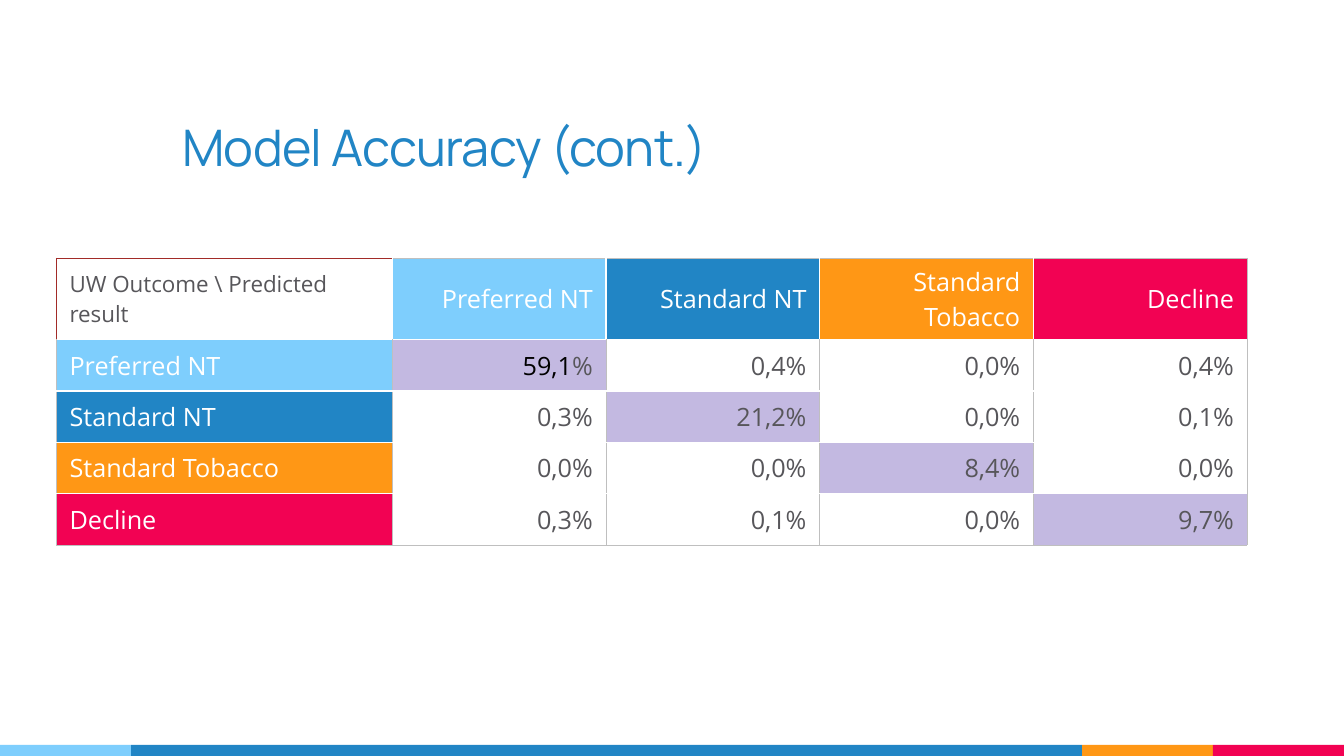
"""Build the model accuracy slide with its confusion matrix."""
from dataclasses import dataclass

from lxml.etree import SubElement
from pptx import Presentation
from pptx.dml.color import RGBColor
from pptx.enum.shapes import MSO_SHAPE
from pptx.enum.text import MSO_ANCHOR, PP_ALIGN
from pptx.oxml.ns import qn
from pptx.util import Inches, Pt

SKY = RGBColor(0x7E, 0xCE, 0xFD)
BLUE = RGBColor(0x21, 0x85, 0xC5)
ORANGE = RGBColor(0xFF, 0x97, 0x15)
CRIMSON = RGBColor(0xF2, 0x02, 0x53)
LILAC = RGBColor(0xC3, 0xB9, 0xE1)
GRAY = RGBColor(0x57, 0x56, 0x5A)
RULE = RGBColor(0xBF, 0xBF, 0xBF)
BRICK = RGBColor(0xA2, 0x2B, 0x28)
WHITE = RGBColor(0xFF, 0xFF, 0xFF)
BLACK = RGBColor(0x00, 0x00, 0x00)


@dataclass(frozen=True)
class Stripe:
    left: float
    width: float
    color: RGBColor


@dataclass(frozen=True)
class RiskClass:
    name: str
    color: RGBColor
    shares: tuple[str, ...]


STRIPES = (
    Stripe(10.73, 1.3, ORANGE),
    Stripe(12.03, 1.3, CRIMSON),
    Stripe(0, 1.3, SKY),
    Stripe(1.3, 9.43, BLUE),
)
RISK_CLASSES = (
    RiskClass("Preferred NT", SKY, ("59,1", "0,4%", "0,0%", "0,4%")),
    RiskClass("Standard NT", BLUE, ("0,3%", "21,2%", "0,0%", "0,1%")),
    RiskClass("Standard Tobacco", ORANGE, ("0,0%", "0,0%", "8,4%", "0,0%")),
    RiskClass("Decline", CRIMSON, ("0,3%", "0,1%", "0,0%", "9,7%")),
)


def add_text(para, text: str, *, color: RGBColor = GRAY, size: float = 18,
             font: str = "Open Sans", align=PP_ALIGN.LEFT, spacing: int = 0) -> None:
    para.alignment = align
    span = para.add_run()
    span.text = text
    span.font.name = font
    span.font.size = Pt(size)
    span.font.color.rgb = color
    if spacing:
        span.font._element.set("spc", str(spacing))


def add_stripe(slide, stripe: Stripe) -> None:
    shape = slide.shapes.add_shape(MSO_SHAPE.RECTANGLE, Inches(stripe.left), Inches(7.39),
                                   Inches(stripe.width), Inches(0.11))
    shape.shadow.inherit = False
    shape.fill.solid()
    shape.fill.fore_color.rgb = stripe.color
    shape.line.fill.background()


def add_title(slide, text: str) -> None:
    box = slide.shapes.add_textbox(Inches(1.71), Inches(0.84), Inches(9.16), Inches(1.01))
    frame = box.text_frame
    frame.word_wrap = True
    frame.vertical_anchor = MSO_ANCHOR.BOTTOM
    frame.margin_left = frame.margin_right = Inches(0.1)
    frame.margin_top = frame.margin_bottom = Inches(0.1)
    add_text(frame.paragraphs[0], text, color=BLUE, size=36, font="Manrope", spacing=-50)


def format_cell(cell, fill: RGBColor | None, edges: str = "LRB", rule: RGBColor = RULE) -> None:
    cell.vertical_anchor = MSO_ANCHOR.MIDDLE
    cell.margin_left = cell.margin_right = Inches(0.13)
    cell.margin_top = cell.margin_bottom = Inches(0.07)
    properties = cell._tc.get_or_add_tcPr()
    for edge in edges:
        line = SubElement(properties, qn(f"a:ln{edge}"), w=str(Pt(0.25)))
        solid = SubElement(line, qn("a:solidFill"))
        SubElement(solid, qn("a:srgbClr"), val=str(rule))
    if fill is None:
        cell.fill.background()
    else:
        cell.fill.solid()
        cell.fill.fore_color.rgb = fill


def add_matrix(slide) -> None:
    count = len(RISK_CLASSES) + 1
    table = slide.shapes.add_table(count, count, Inches(0.56), Inches(2.56),
                                   Inches(11.82), Inches(2.85)).table
    table.first_row = table.horz_banding = False
    for index in range(count):
        table.columns[index].width = Inches(2.12 if index else 3.33)
        table.rows[index].height = Inches(0.51 if index else 0.81)

    corner = table.cell(0, 0)
    format_cell(corner, WHITE, "LT", BRICK)
    add_text(corner.text_frame.paragraphs[0], "UW Outcome \\ Predicted result", size=16)

    for row, risk in enumerate(RISK_CLASSES, start=1):
        header, label = table.cell(0, row), table.cell(row, 0)
        format_cell(header, risk.color, "RTB")
        add_text(header.text_frame.paragraphs[0], risk.name, color=WHITE, align=PP_ALIGN.RIGHT)
        format_cell(label, risk.color)
        add_text(label.text_frame.paragraphs[0], risk.name, color=WHITE)
        for column, share in enumerate(risk.shares, start=1):
            cell = table.cell(row, column)
            format_cell(cell, LILAC if row == column else None)
            para = cell.text_frame.paragraphs[0]
            complete = share.endswith("%")
            add_text(para, share, color=GRAY if complete else BLACK, align=PP_ALIGN.RIGHT)
            if not complete:
                add_text(para, "%", align=PP_ALIGN.RIGHT)


def main() -> None:
    deck = Presentation()
    deck.slide_width, deck.slide_height = Inches(13.33), Inches(7.5)
    page = deck.slides.add_slide(deck.slide_layouts[6])
    for stripe in STRIPES:
        add_stripe(page, stripe)
    add_title(page, "Model Accuracy (cont.)")
    add_matrix(page)
    deck.save("out.pptx")


if __name__ == "__main__":
    main()
